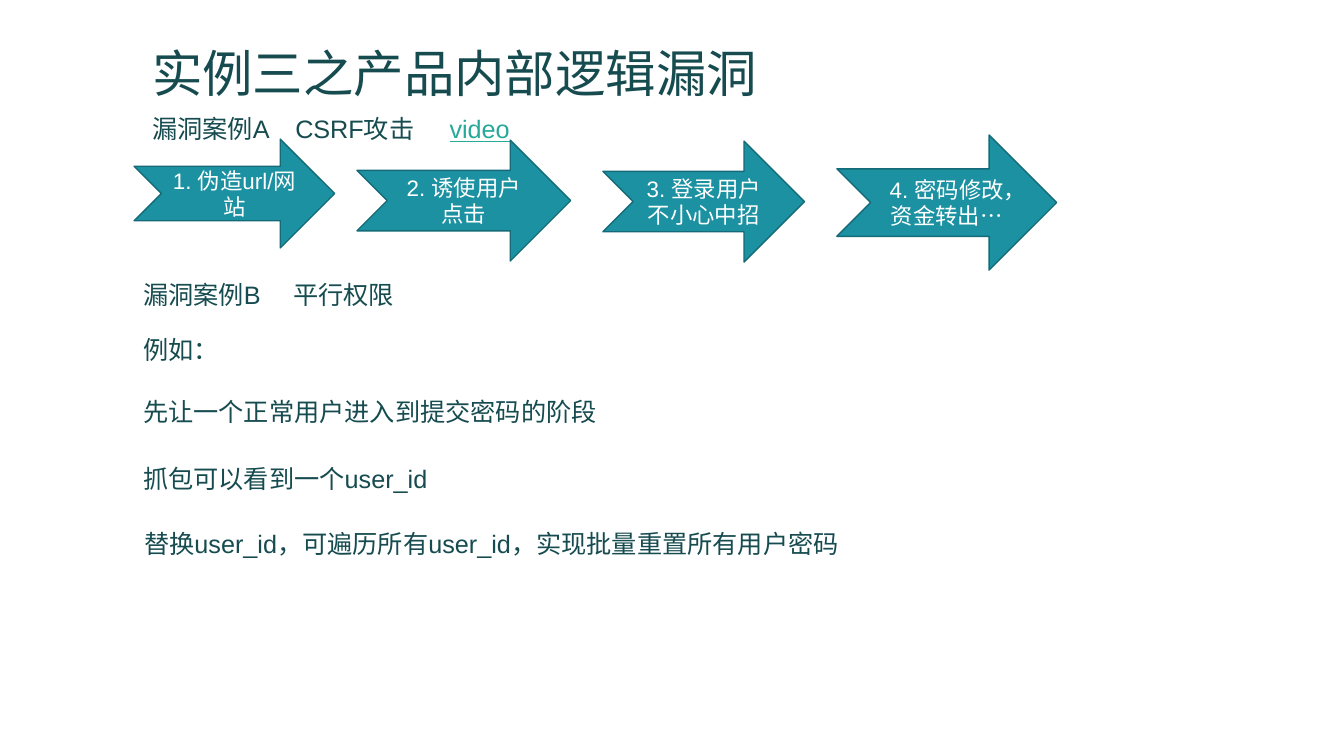
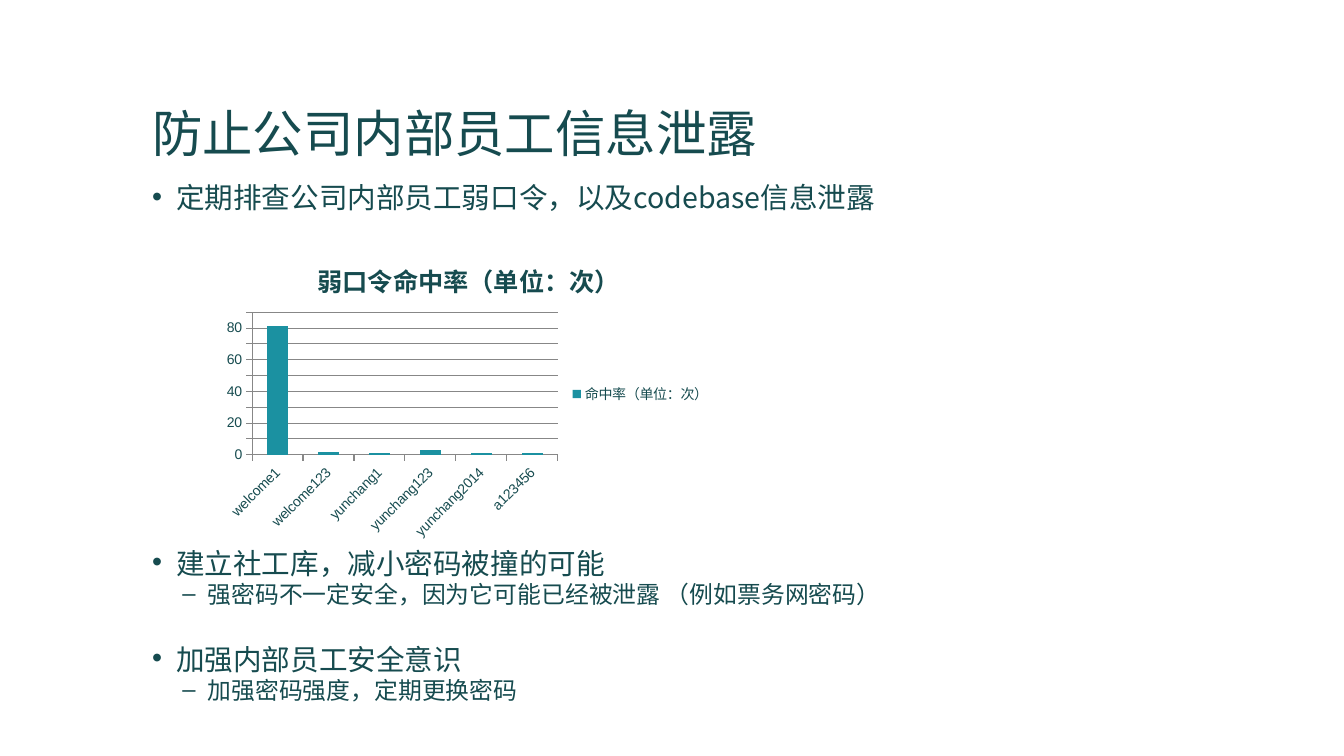
from dataclasses import dataclass

from lxml import etree
from pptx import Presentation
from pptx.chart.data import CategoryChartData
from pptx.dml.color import RGBColor
from pptx.enum.chart import XL_CHART_TYPE, XL_LEGEND_POSITION, XL_TICK_MARK
from pptx.enum.shapes import MSO_SHAPE
from pptx.enum.text import MSO_ANCHOR, PP_ALIGN
from pptx.oxml.ns import qn
from pptx.slide import Slide
from pptx.text.text import TextFrame
from pptx.util import Inches, Pt

COLUMN = XL_CHART_TYPE.COLUMN_CLUSTERED
RIGHT = XL_LEGEND_POSITION.RIGHT
OUTSIDE = XL_TICK_MARK.OUTSIDE
ARROW = MSO_SHAPE.NOTCHED_RIGHT_ARROW
BOTTOM, MIDDLE = MSO_ANCHOR.BOTTOM, MSO_ANCHOR.MIDDLE
CENTER = PP_ALIGN.CENTER

# Shared colours and fonts
INK = RGBColor(0x16, 0x4B, 0x4F)
TEAL = RGBColor(0x1B, 0x91, 0xA1)
EDGE = RGBColor(0x14, 0x6B, 0x77)
LINK = RGBColor(0x27, 0xA9, 0x9A)
GRAY = RGBColor(0x87, 0x87, 0x87)
WHITE = RGBColor(0xFF, 0xFF, 0xFF)
LATIN, HAN = "Arial", "Noto Sans CJK SC"


@dataclass
class Step:
    text: str
    left: float
    top: float
    width: float
    height: float


@dataclass
class Line:
    text: str
    left: float
    top: float
    tabs: tuple[float, ...] = ()


@dataclass
class Point:
    text: str
    before: float
    sub: bool = False


# Shared text helpers
def style(para, size: float, color: RGBColor = INK, face: str = LATIN) -> None:
    font = para.font
    font.size, font.name = Pt(size), face
    font.color.rgb = color
    base = para._p.get_or_add_pPr().find(qn("a:defRPr"))
    etree.SubElement(base, qn("a:ea"), typeface=HAN)


def add_box(slide: Slide, left: float, top: float, width: float,
            height: float) -> TextFrame:
    box = slide.shapes.add_textbox(Inches(left), Inches(top),
                                   Inches(width), Inches(height))
    box.text_frame.word_wrap = True
    return box.text_frame


def add_title(slide: Slide, text: str, top: float) -> None:
    frame = add_box(slide, 1.41, top, 10.5, 1.25)
    frame.vertical_anchor = BOTTOM
    para = frame.paragraphs[0]
    para.text = text
    para.line_spacing = 0.9
    style(para, 36, face=HAN)


def add_line(slide: Slide, line: Line):
    para = add_box(slide, line.left, line.top, 8.09, 0.4).paragraphs[0]
    para.text = line.text
    if line.tabs:
        stops = etree.SubElement(para._p.get_or_add_pPr(), qn("a:tabLst"))
        for pos in line.tabs:
            etree.SubElement(stops, qn("a:tab"), pos=str(Inches(pos)), algn="l")
    style(para, 18)
    return para


def add_step(slide: Slide, step: Step) -> None:
    arrow = slide.shapes.add_shape(ARROW, Inches(step.left), Inches(step.top),
                                   Inches(step.width), Inches(step.height))
    arrow.shadow.inherit = False
    arrow.fill.solid()
    arrow.fill.fore_color.rgb = TEAL
    arrow.line.color.rgb = EDGE
    arrow.line.width = Pt(1)
    frame = arrow.text_frame
    frame.word_wrap = True
    frame.vertical_anchor = MIDDLE
    para = frame.paragraphs[0]
    para.text = step.text
    para.alignment = CENTER
    style(para, 16, WHITE)


def add_points(slide: Slide, points: list[Point]) -> None:
    frame = add_box(slide, 1.41, 1.83, 10.5, 5.54)
    for i, point in enumerate(points):
        para = frame.add_paragraph() if i else frame.paragraphs[0]
        para.text = point.text
        para.line_spacing = 0.7
        para.space_before = Pt(point.before)
        props = para._p.get_or_add_pPr()
        props.set("marL", str(Inches(0.55 if point.sub else 0.24)))
        props.set("indent", str(Inches(-0.25)))
        etree.SubElement(props, qn("a:buFont"), typeface=LATIN)
        etree.SubElement(props, qn("a:buChar"), char="–" if point.sub else "•")
        style(para, 17 if point.sub else 20.4, face=HAN)


def add_bars(slide: Slide, title: str, name: str, hits: dict[str, int]) -> None:
    data = CategoryChartData()
    data.categories = list(hits)
    data.add_series(name, list(hits.values()))
    chart = slide.shapes.add_chart(COLUMN, Inches(2.15), Inches(2.41),
                                   Inches(5), Inches(3), data).chart
    chart.font.size, chart.font.name = Pt(10), LATIN
    chart.font.color.rgb = INK
    chart.has_title = True
    chart.chart_title.include_in_layout = False
    head = chart.chart_title.text_frame.paragraphs[0]
    head.text = title
    style(head, 18)
    head.font.bold = True
    chart.has_legend = True
    chart.legend.position = RIGHT
    chart.legend.include_in_layout = False
    plot = chart.plots[0]
    plot.vary_by_categories = False
    plot.gap_width = 150
    fill = plot.series[0].format.fill
    fill.solid()
    fill.fore_color.rgb = TEAL
    for axis in (chart.category_axis, chart.value_axis):
        axis.major_tick_mark = OUTSIDE
        axis.format.line.color.rgb = GRAY
    scale = chart.value_axis
    scale.minimum_scale, scale.maximum_scale, scale.major_unit = 0, 90, 10
    scale.has_major_gridlines = True
    scale.major_gridlines.format.line.color.rgb = GRAY


STEPS = [
    Step("1. 伪造url/网站", 1.33, 1.38, 1.99, 1.08),
    Step("2. 诱使用户点击", 3.54, 1.39, 2.12, 1.2),
    Step("3. 登录用户不小心中招", 5.98, 1.4, 2, 1.2),
    Step("4. 密码修改，资金转出…", 8.3, 1.34, 2.18, 1.34),
]
LINES = [
    Line("漏洞案例B\t平行权限", 1.32, 2.72, (1.49,)),
    Line("例如：", 1.32, 3.27),
    Line("先让一个正常用户进入到提交密码的阶段", 1.32, 3.88),
    Line("抓包可以看到一个user_id", 1.32, 4.55),
    Line("替换user_id，可遍历所有user_id，实现批量重置所有用户密码", 1.33, 5.19),
]
POINTS = [
    Point("定期排查公司内部员工弱口令，以及codebase信息泄露", 16),
    Point("建立社工库，减小密码被撞的可能", 244),
    Point("强密码不一定安全，因为它可能已经被泄露 （例如票务网密码）", 6, True),
    Point("加强内部员工安全意识", 31),
    Point("加强密码强度，定期更换密码", 6, True),
]
HITS = {"welcome1": 81, "welcome123": 2, "yunchang1": 1,
        "yunchang123": 3, "yunchang2014": 1, "a123456": 1}

deck = Presentation()
deck.slide_width, deck.slide_height = Inches(13.33), Inches(7.5)
blank = deck.slide_layouts[6]

# Slide 1: logic flaws
flaws = deck.slides.add_slide(blank)
add_title(flaws, "实例三之产品内部逻辑漏洞", -0.17)
case = add_line(flaws, Line("漏洞案例A\tCSRF攻击\t", 1.41, 1.08, (1.42, 2.95)))
video = case.add_run()
video.text = "video"
video.font.color.rgb = LINK
video.font.underline = True
for step in STEPS:
    add_step(flaws, step)
for line in LINES:
    add_line(flaws, line)

# Slide 2: staff leaks
leaks = deck.slides.add_slide(blank)
add_title(leaks, "防止公司内部员工信息泄露", 0.42)
add_points(leaks, POINTS)
add_bars(leaks, "弱口令命中率（单位：次）", "命中率（单位：次）", HITS)

deck.save("out.pptx")
